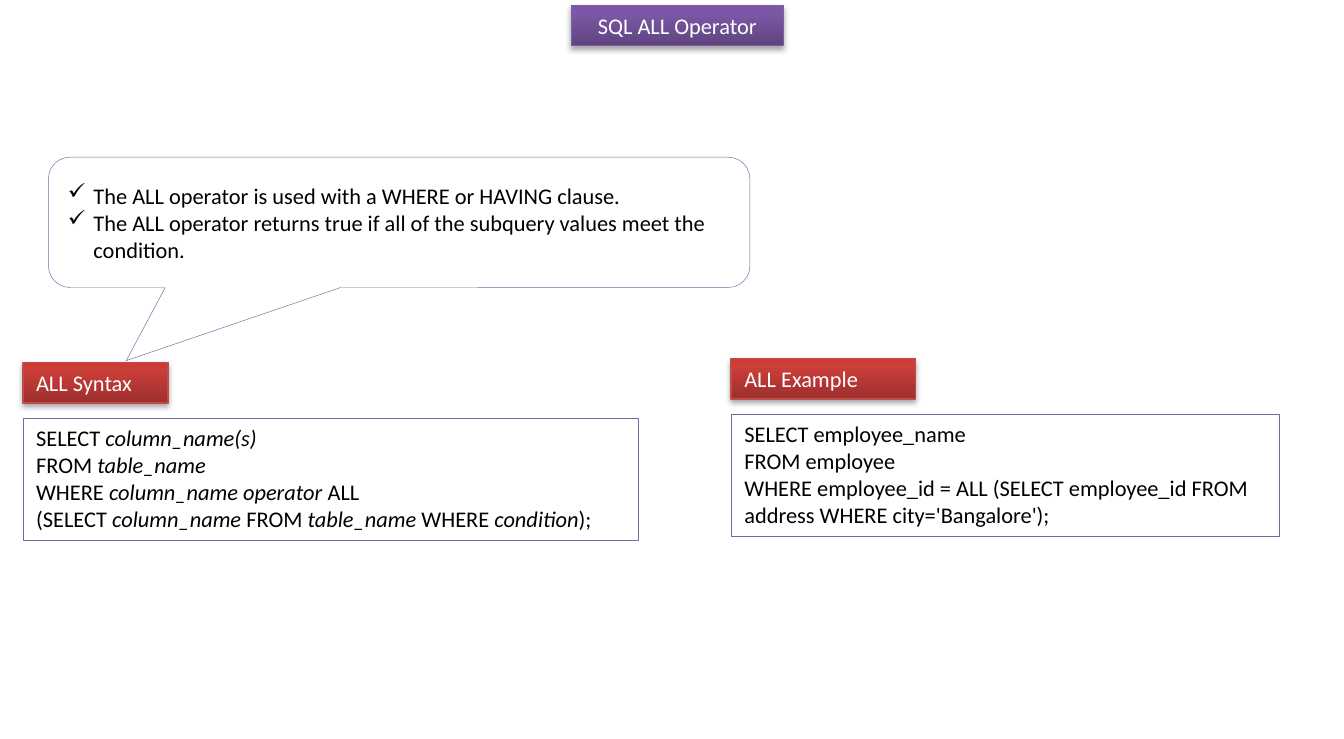
from copy import deepcopy
from dataclasses import dataclass

from lxml import etree
from pptx import Presentation
from pptx.dml.color import RGBColor
from pptx.enum import shapes, text
from pptx.oxml import ns
from pptx.util import Inches, Pt

WHITE = RGBColor(0xFF, 0xFF, 0xFF)
BLACK = RGBColor(0, 0, 0)
PURPLE = RGBColor(0x80, 0x64, 0xA2)
RECT = shapes.MSO_SHAPE.RECTANGLE
CALLOUT = shapes.MSO_SHAPE.ROUNDED_RECTANGULAR_CALLOUT


@dataclass(frozen=True)
class Theme:
    stops: tuple[tuple[float, RGBColor], ...]
    line: RGBColor


@dataclass(frozen=True)
class Run:
    text: str
    italic: bool = False


Line = tuple[Run, ...]
Paragraph = tuple[Line, ...]


@dataclass(frozen=True)
class Panel:
    """A heading label with a code box below it."""
    heading: str
    left: float
    top: float
    label_width: float
    code_width: float
    code: tuple[Paragraph, ...]


VIOLET = Theme(((0, RGBColor(0x5F, 0x44, 0x80)), (0.8, RGBColor(0x7B, 0x58, 0xA6)),
                (1, RGBColor(0x7C, 0x57, 0xA8))), RGBColor(0x7D, 0x60, 0xA0))
RED = Theme(((0, RGBColor(0x9C, 0x2F, 0x2D)), (0.8, RGBColor(0xCB, 0x3E, 0x3A)),
             (1, RGBColor(0xCE, 0x3B, 0x37))), RGBColor(0xBF, 0x4C, 0x48))


def plain(*lines: str) -> tuple[Paragraph, ...]:
    """One single-run paragraph for each line."""
    return tuple(((Run(line),),) for line in lines)


NOTES = plain(
    "The ALL operator is used with a WHERE or HAVING clause.",
    "The ALL operator returns true if all of the subquery values meet the condition.",
)
SYNTAX: Paragraph = (
    (Run("SELECT "), Run("column_name(s)", True)),
    (Run("FROM "), Run("table_name", True)),
    (Run("WHERE "), Run("column_name operator", True), Run(" ALL")),
    (Run("(SELECT "), Run("column_name ", True), Run("FROM "), Run("table_name ", True),
     Run("WHERE "), Run("condition", True), Run(");")),
)
EXAMPLE = plain(
    "SELECT employee_name",
    "FROM employee",
    "WHERE employee_id = ALL (SELECT employee_id FROM address WHERE city='Bangalore');",
)
PANELS = (
    Panel("ALL Syntax", 0.17, 2.7, 1.08, 4.58, (SYNTAX,)),
    Panel("ALL Example", 5.44, 2.67, 1.37, 4.08, EXAMPLE),
)
LABEL_HEIGHT = 0.3
CODE_OFFSET = 0.41


def add_box(slide, kind, left: float, top: float, width: float, height: float):
    s = slide.shapes.add_shape(kind, Inches(left), Inches(top), Inches(width), Inches(height))
    s.shadow.inherit = False
    s.text_frame.word_wrap = True
    return s


def outline(s, color: RGBColor) -> None:
    s.fill.solid()
    s.fill.fore_color.rgb = WHITE
    s.line.color.rgb = color
    s.line.width = Pt(0.25)


def fit_text(s) -> None:
    s.text_frame.vertical_anchor = text.MSO_ANCHOR.TOP
    s.text_frame.auto_size = text.MSO_AUTO_SIZE.SHAPE_TO_FIT_TEXT


def add_check(p) -> None:
    p_pr = p._p.get_or_add_pPr()
    p_pr.set("marL", str(Inches(0.19)))
    p_pr.set("indent", str(-Inches(0.19)))
    etree.SubElement(p_pr, ns.qn("a:buChar"), char="✓")


def write(s, paragraphs: tuple[Paragraph, ...], color: RGBColor,
          align=text.PP_ALIGN.LEFT, checked: bool = False) -> None:
    tf = s.text_frame
    for i, lines in enumerate(paragraphs):
        p = tf.add_paragraph() if i else tf.paragraphs[0]
        p.alignment = align
        if checked:
            add_check(p)
        p.font.name = "Calibri"
        p.font.size = Pt(12)
        p.font.color.rgb = color
        for n, line in enumerate(lines):
            if n:
                p.add_line_break()
            for run in line:
                r = p.add_run()
                r.text = run.text
                if run.italic:
                    r.font.italic = True


def add_gradient(s, theme: Theme) -> None:
    """Fill upwards through all the stops of the theme."""
    s.fill.gradient()
    s.fill.gradient_angle = 90
    stop_list = s._element.spPr.find(f".//{ns.qn('a:gsLst')}")
    stop_list.append(deepcopy(stop_list[-1]))
    for stop, (position, color) in zip(s.fill.gradient_stops, theme.stops):
        stop.position = position
        stop.color.rgb = color


def add_shadow(s) -> None:
    effects = s._element.spPr.find(ns.qn("a:effectLst"))
    shadow = etree.SubElement(effects, ns.qn("a:outerShdw"), blurRad=str(Pt(3.1)),
                              dist=str(Pt(1.8)), dir="5400000", rotWithShape="0")
    color = etree.SubElement(shadow, ns.qn("a:srgbClr"), val=str(BLACK))
    etree.SubElement(color, ns.qn("a:alpha"), val="35000")


def add_label(slide, caption: str, left: float, top: float, width: float,
              theme: Theme, align=text.PP_ALIGN.LEFT) -> None:
    s = add_box(slide, RECT, left, top, width, LABEL_HEIGHT)
    add_gradient(s, theme)
    s.line.color.rgb = theme.line
    s.line.width = Pt(0.75)
    add_shadow(s)
    fit_text(s)
    write(s, plain(caption), WHITE, align)


def add_panel(slide, panel: Panel) -> None:
    s = add_box(slide, RECT, panel.left, panel.top + CODE_OFFSET, panel.code_width, 0.91)
    outline(s, PURPLE)
    fit_text(s)
    write(s, panel.code, BLACK)
    add_label(slide, panel.heading, panel.left, panel.top, panel.label_width, RED)


def add_notes_callout(slide) -> None:
    s = add_box(slide, CALLOUT, 0.36, 1.17, 5.22, 0.97)
    for i, value in enumerate((-0.389, 1.061, 0.167)):
        s.adjustments[i] = value
    outline(s, PURPLE)
    s.text_frame.vertical_anchor = text.MSO_ANCHOR.MIDDLE
    write(s, NOTES, BLACK, checked=True)


def main() -> None:
    prs = Presentation()
    prs.slide_width, prs.slide_height = Inches(10), Inches(5.5)
    slide = prs.slides.add_slide(prs.slide_layouts[6])
    add_label(slide, "SQL ALL Operator", 4.25, 0.04, 1.58, VIOLET, text.PP_ALIGN.CENTER)
    add_notes_callout(slide)
    for panel in PANELS:
        add_panel(slide, panel)
    prs.save("out.pptx")


if __name__ == "__main__":
    main()
